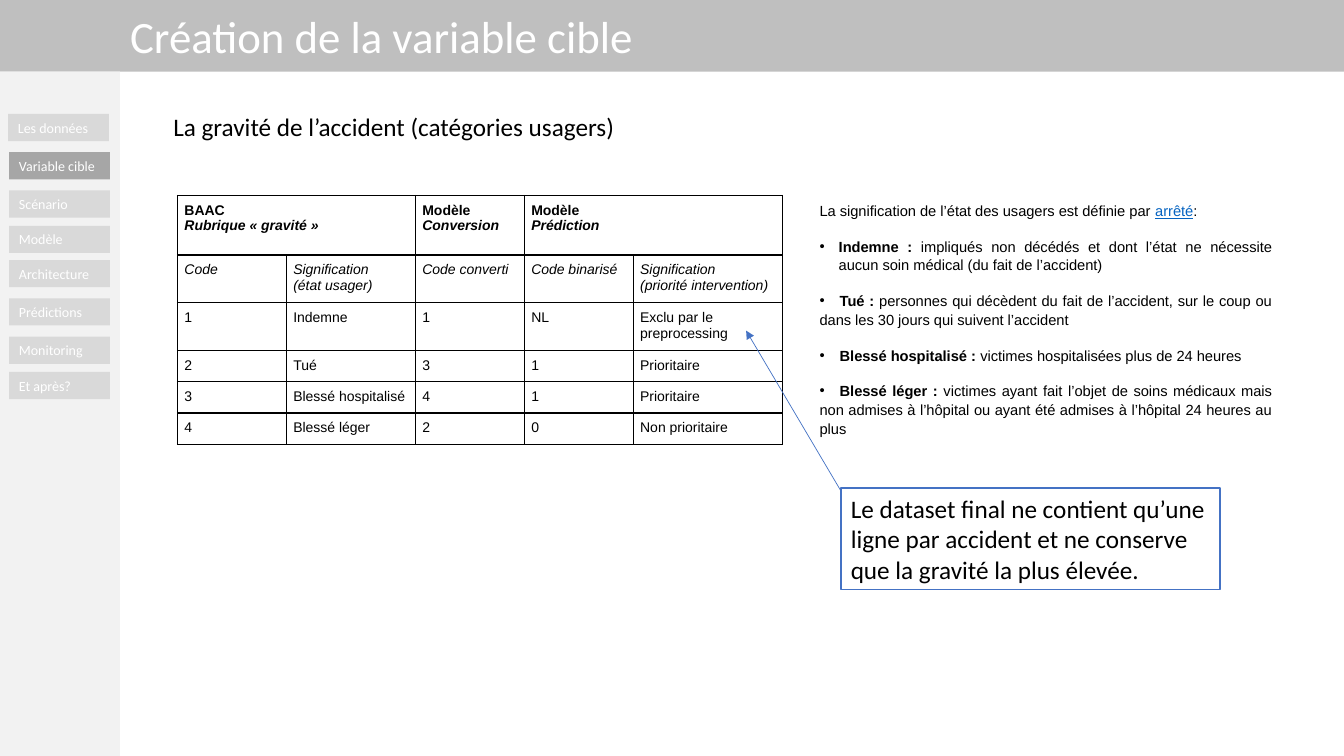
import pptx
import pptx.util
import pptx.dml.color
import pptx.enum.text
import pptx.enum.shapes
import pptx.oxml
import pptx.oxml.ns
import lxml.etree

Inches = pptx.util.Inches
Pt = pptx.util.Pt
RGBColor = pptx.dml.color.RGBColor
ALIGN = pptx.enum.text.PP_ALIGN
MIDDLE = pptx.enum.text.MSO_ANCHOR.MIDDLE
qn = pptx.oxml.ns.qn

WHITE = RGBColor(0xFF, 0xFF, 0xFF)
BLACK = RGBColor(0, 0, 0)
BAND = RGBColor(0xBF, 0xBF, 0xBF)
SIDE = RGBColor(0xF2, 0xF2, 0xF2)
IDLE = RGBColor(0xD9, 0xD9, 0xD9)
ACTIVE = RGBColor(0xA6, 0xA6, 0xA6)
BLUE = RGBColor(0x44, 0x72, 0xC4)
LINK = RGBColor(0x05, 0x63, 0xC1)


def style(para, size, color, face="Calibri", align=ALIGN.LEFT):
    para.alignment = align
    para.font.size = Pt(size)
    para.font.name = face
    para.font.color.rgb = color


def add_box(left, top, width, height, fill, text="", size=10, color=WHITE):
    box = slide.shapes.add_shape(
        pptx.enum.shapes.MSO_SHAPE.RECTANGLE,
        Inches(left), Inches(top), Inches(width), Inches(height))
    box.shadow.inherit = False
    box.fill.solid()
    box.fill.fore_color.rgb = fill
    box.line.fill.background()
    if text:
        box.text_frame.text = text
        box.text_frame.word_wrap = True
        box.text_frame.vertical_anchor = MIDDLE
        style(box.text_frame.paragraphs[0], size, color)
    return box


deck = pptx.Presentation()
deck.slide_width = Inches(13.33)
deck.slide_height = Inches(7.5)
slide = deck.slides.add_slide(deck.slide_layouts[5])

add_box(0, 0, 13.33, 0.71, BAND)
add_box(0, 0.71, 1.19, 6.79, SIDE)

title = slide.shapes.title
title.left, title.top = Inches(1.19), Inches(0.03)
title.width, title.height = Inches(6.07), Inches(0.64)
title.text_frame.text = "Création de la variable cible"
title.text_frame.auto_size = pptx.enum.text.MSO_AUTO_SIZE.NONE
title.text_frame.vertical_anchor = MIDDLE
style(title.text_frame.paragraphs[0], 32, WHITE)
slide.shapes.element.append(title.element)

menu = [
    ("Les données", 0.08, 1.13), ("Variable cible", 0.09, 1.51),
    ("Scénario", 0.09, 1.89), ("Modèle", 0.09, 2.24),
    ("Architecture", 0.09, 2.58), ("Prédictions", 0.09, 2.96),
    ("Monitoring", 0.09, 3.34), ("Et après?", 0.09, 3.69),
]
for label, left, top in menu:
    add_box(left, top, 1, 0.27, ACTIVE if label == "Variable cible" else IDLE, label)

head = slide.shapes.add_textbox(Inches(1.62), Inches(1.06), Inches(11.35), Inches(0.4))
head.text_frame.word_wrap = True
head.text_frame.text = "La gravité de l’accident (catégories usagers)"
style(head.text_frame.paragraphs[0], 18, BLACK)

rows = [
    ["BAAC\nRubrique « gravité »", "", "Modèle\nConversion", "Modèle\nPrédiction", ""],
    ["Code", "Signification \v(état usager)", "Code converti", "Code binarisé",
     "Signification \v(priorité intervention)"],
    ["1", "Indemne", "1", "NL", "Exclu par le preprocessing"],
    ["2", "Tué", "3", "1", "Prioritaire"],
    ["3", "Blessé hospitalisé", "4", "1", "Prioritaire"],
    ["4", "Blessé léger", "2", "0", "Non prioritaire"],
]
widths = [1.08, 1.28, 1.08, 1.08, 1.48]
heights = [0.59, 0.47, 0.47, 0.31, 0.31, 0.31]
table = slide.shapes.add_table(
    len(rows), len(widths), Inches(1.76), Inches(1.94),
    Inches(sum(widths)), Inches(sum(heights))).table
table.first_row = False
table.horz_banding = False
for col, width in zip(table.columns, widths):
    col.width = Inches(width)
for row, height in zip(table.rows, heights):
    row.height = Inches(height)
for first in (0, 3):
    table.cell(0, first).merge(table.cell(0, first + 1))

for r, row in enumerate(rows):
    for c, text in enumerate(row):
        cell = table.cell(r, c)
        cell.margin_left = cell.margin_right = Inches(0.07)
        cell.margin_top = cell.margin_bottom = Inches(0.07)
        props = cell._tc.get_or_add_tcPr()
        for edge in ("lnL", "lnR", "lnT", "lnB"):
            line = lxml.etree.SubElement(props, qn("a:" + edge), w=str(Pt(1)))
            paint = lxml.etree.SubElement(line, qn("a:solidFill"))
            lxml.etree.SubElement(paint, qn("a:srgbClr"), val=str(BLACK))
        cell.fill.background()
        if not text:
            continue
        cell.text_frame.text = text
        for n, para in enumerate(cell.text_frame.paragraphs):
            left = text.startswith("Exclu")
            style(para, 10, BLACK, "Arial", ALIGN.LEFT if left else ALIGN.JUSTIFY)
            para.font.bold = r == 0
            para.font.italic = r == 1 or n == 1

notes = [
    ("Indemne :", " impliqués non décédés et dont l’état ne nécessite aucun soin "
     "médical (du fait de l’accident)"),
    ("Tué :", " personnes qui décèdent du fait de l’accident, sur le coup ou dans "
     "les 30 jours qui suivent l’accident"),
    ("Blessé hospitalisé :", " victimes hospitalisées plus de 24 heures"),
    ("Blessé léger :", " victimes ayant fait l’objet de soins médicaux mais non admises "
     "à l’hôpital ou ayant été admises à l’hôpital 24 heures au plus"),
]
legend = slide.shapes.add_textbox(Inches(8.03), Inches(1.94), Inches(4.69), Inches(2.57))
frame = legend.text_frame
frame.word_wrap = True
intro = frame.paragraphs[0]
intro.add_run().text = "La signification de l’état des usagers est définie par "
decree = intro.add_run()
decree.text = "arrêté"
decree.font.underline = True
decree.font.color.rgb = LINK
intro.add_run().text = ":"
for n, (term, sense) in enumerate(notes):
    para = frame.add_paragraph()
    para.space_before = Pt(12)
    props = para._p.get_or_add_pPr()
    hang = Inches(0.19) if n == 0 else 0
    props.set("marL", str(hang))
    props.set("indent", str(-hang))
    lxml.etree.SubElement(props, qn("a:buFont"), typeface="Arial")
    lxml.etree.SubElement(props, qn("a:buChar"), char="•")
    if n:
        tabs = lxml.etree.SubElement(props, qn("a:tabLst"))
        lxml.etree.SubElement(tabs, qn("a:tab"), pos=str(Inches(0.2)), algn="l")
    name = para.add_run()
    name.text = "\t" + term if n else term
    name.font.bold = True
    para.add_run().text = sense
for para in frame.paragraphs:
    style(para, 10.5, BLACK, "Arial", ALIGN.JUSTIFY)
    para.line_spacing = 1.07

remark = add_box(
    8.34, 4.84, 3.76, 1.01, WHITE,
    "Le dataset final ne contient qu’une ligne par accident et ne conserve "
    "que la gravité la plus élevée.", 18, BLACK)
remark.line.color.rgb = BLUE
remark.line.width = Pt(1)

arrow = slide.shapes.add_connector(
    pptx.enum.shapes.MSO_CONNECTOR.STRAIGHT,
    Inches(8.34), Inches(4.87), Inches(7.4), Inches(3.28))
arrow.line.color.rgb = BLUE
arrow.line.width = Pt(0.5)
lxml.etree.SubElement(arrow.line._get_or_add_ln(), qn("a:tailEnd"), type="triangle")
lxml.etree.SubElement(arrow._element.spPr, qn("a:effectLst"))

deck.save("out.pptx")
